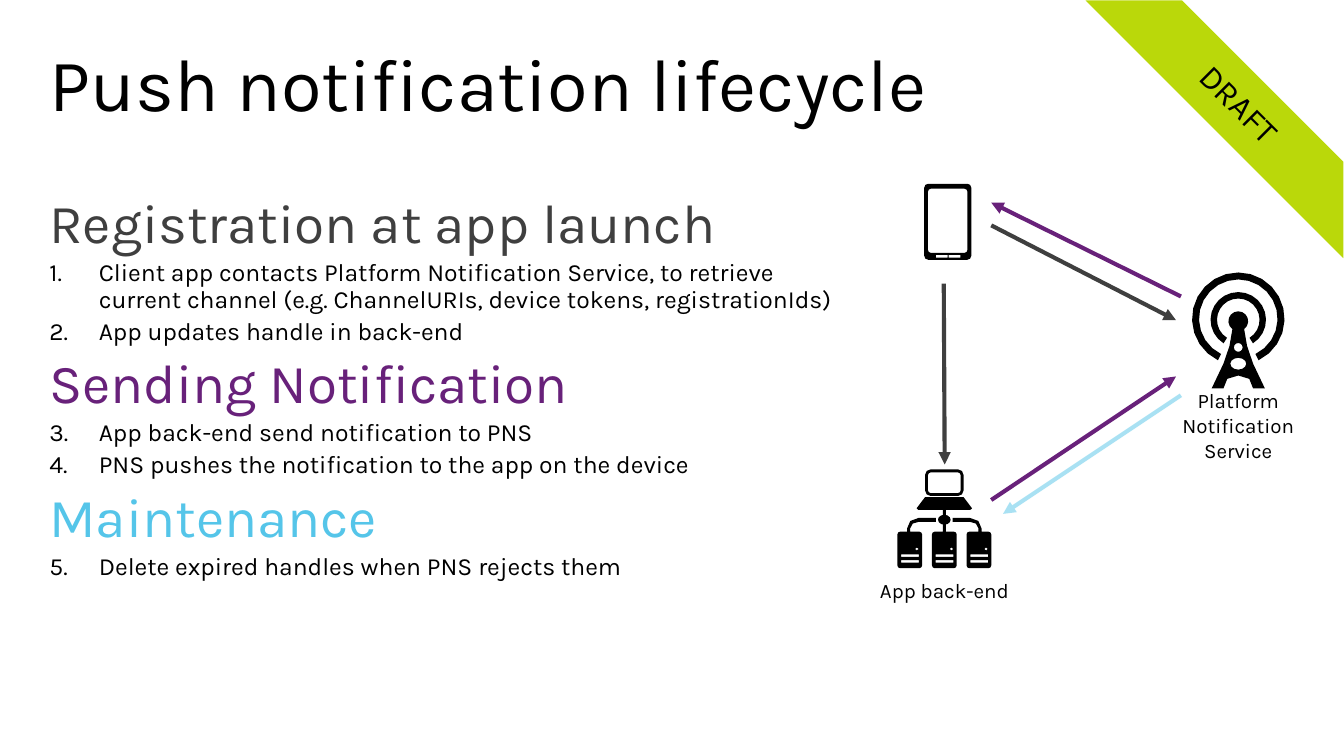
import math
from dataclasses import dataclass

from lxml import etree
from pptx import Presentation
from pptx import util as u
from pptx.dml import color
from pptx.enum import shapes, text
from pptx.oxml import ns

Pt = u.Pt


@dataclass(frozen=True)
class Theme:
    font: str = "Karla"
    black: str = "000000"
    lime: str = "BAD80A"
    grey: str = "3F3F3F"
    purple: str = "68217A"
    sky: str = "55C5E9"
    title: float = 54
    heading: float = 40
    ribbon: float = 24
    step: float = 18
    caption: float = 15


THEME = Theme()

SECTIONS = [
    ("Registration at app launch", THEME.grey, [
        "Client app contacts Platform Notification Service, to retrieve "
        "current channel (e.g. ChannelURIs, device tokens, registrationIds)",
        "App updates handle in back-end"]),
    ("Sending Notification", THEME.purple, [
        "App back-end send notification to PNS",
        "PNS pushes the notification to the app on the device"]),
    ("Maintenance", THEME.sky, ["Delete expired handles when PNS rejects them"]),
]

# Start, end, colour, opacity in percent
ARROWS = [
    ((722.2, 164.2), (856.8, 233.3), THEME.grey, 100),
    ((687.6, 206.6), (688.3, 338.4), THEME.grey, 100),
    ((722.2, 364.3), (856.8, 274.3), THEME.purple, 100),
    ((860.4, 216), (722.2, 147.6), THEME.purple, 100),
    ((860.4, 288), (730.8, 374.4), THEME.sky, 50),
]


def rgb(value):
    return color.RGBColor.from_string(value)


# Text
def format_para(para, size, ink=THEME.black, spacing=0.9, before=0):
    para.line_spacing = spacing
    para.space_before = Pt(before)
    para.space_after = Pt(0)
    for span in para.runs:
        span.font.name = THEME.font
        span.font.size = Pt(size)
        span.font.color.rgb = rgb(ink)


def set_frame(frame, side=14.4, edge=11.5, anchor=text.MSO_ANCHOR.TOP):
    frame.word_wrap = True
    frame.auto_size = text.MSO_AUTO_SIZE.NONE
    frame.vertical_anchor = anchor
    frame.margin_left = frame.margin_right = Pt(side)
    frame.margin_top = frame.margin_bottom = Pt(edge)


def add_box(page, left, top, width, height, **frame_options):
    box = page.shapes.add_textbox(Pt(left), Pt(top), Pt(width), Pt(height))
    set_frame(box.text_frame, **frame_options)
    return box


def add_caption(page, words, left, top, width, height):
    box = add_box(page, left, top, width, height, side=0, edge=0)
    box.text_frame.text = words
    for para in box.text_frame.paragraphs:
        para.alignment = text.PP_ALIGN.CENTER
        format_para(para, THEME.caption, spacing=1.0)


def number_para(para, start):
    para.level = 1
    props = para._p.get_or_add_pPr()
    props.set("marL", str(Pt(36)))
    props.set("indent", str(-Pt(36)))
    etree.SubElement(props, ns.qn("a:buAutoNum"), type="arabicPeriod", startAt=str(start))


def add_steps(page):
    frame = add_box(page, 21.6, 131.4, 614.9, 319.7).text_frame
    para, start = frame.paragraphs[0], 1
    for heading, ink, steps in SECTIONS:
        if start > 1:
            para = frame.add_paragraph()
        para.text = heading
        format_para(para, THEME.heading, ink, before=8 if start > 1 else 0)
        for step in steps:
            para = frame.add_paragraph()
            para.text = step
            format_para(para, THEME.step, before=3.6)
            number_para(para, start)
        start += len(steps)


# Outlines, as lists of points
def arc(x, y, across, down, start, end, pieces):
    angles = [math.radians(start + (end - start) * i / pieces) for i in range(pieces + 1)]
    return [(x + across * math.cos(a), y + down * math.sin(a)) for a in angles]


def oval(x, y, across, down, pieces=12):
    return arc(x, y, across, down, 0, 360, pieces)[:-1]


def rounded(left, top, width, height, radius):
    right, bottom = left + width - radius, top + height - radius
    left, top = left + radius, top + radius
    corners = [(right, bottom), (left, bottom), (left, top), (right, top)]
    return [point for i, (x, y) in enumerate(corners)
            for point in arc(x, y, radius, radius, 90 * i, 90 * i + 90, 2)]


def block(left, top, width, height):
    right, bottom = left + width, top + height
    return [(left, top), (right, top), (right, bottom), (left, bottom)]


def add_outline(page, contours, fill=THEME.black):
    builder = None
    for contour in contours:
        points = [(Pt(x), Pt(y)) for x, y in contour]
        if builder is None:
            builder = page.shapes.build_freeform(*points[0], scale=1.0)
        else:
            builder.move_to(*points[0])
        builder.add_line_segments(points[1:], close=True)
    outline = builder.convert_to_shape()
    outline.shadow.inherit = False
    outline.fill.solid()
    outline.fill.fore_color.rgb = rgb(fill)
    outline.line.fill.background()
    return outline


def add_arrow(page, start, end, ink, opacity):
    arrow = page.shapes.add_connector(
        shapes.MSO_CONNECTOR.STRAIGHT, *(Pt(value) for value in start + end))
    arrow.line.color.rgb = rgb(ink)
    arrow.line.width = Pt(3)
    line = arrow.line._get_or_add_ln()
    if opacity < 100:
        tint = line.find(".//" + ns.qn("a:srgbClr"))
        etree.SubElement(tint, ns.qn("a:alpha"), val=str(opacity * 1000))
    etree.SubElement(line, ns.qn("a:tailEnd"), type="triangle")
    etree.SubElement(arrow._element.spPr, ns.qn("a:effectLst"))


def add_ribbon(page):
    band = [(769.6, 101.5), (819.3, 51.8), (985.6, 51.8), (1035.3, 101.5)]
    ribbon = add_outline(page, [band], THEME.lime)
    ribbon.rotation = 45
    set_frame(ribbon.text_frame, anchor=text.MSO_ANCHOR.MIDDLE)
    ribbon.text_frame.text = "DRAFT"
    para = ribbon.text_frame.paragraphs[0]
    para.alignment = text.PP_ALIGN.CENTER
    format_para(para, THEME.ribbon)


# Icons
def add_phone(page):
    buttons = [block(left, 185.8, 8.6, 2) for left in (681.8, 691.2)]
    add_outline(page, [rounded(673.4, 133.9, 34.3, 55.4, 2.9),
                       rounded(676.1, 137.5, 28.8, 46.8, 2.2)] + buttons)


def add_tower(page):
    middle = 902.2
    # Mast, mirrored about its middle, with the antenna tip on top
    half = [(4.3, 239.8), (6.4, 252), (10.8, 265), (19.4, 283), (10.8, 283), (8, 276), (0, 273.6)]
    right = [(middle + x, y) for x, y in half]
    left = [(middle - x, y) for x, y in reversed(half[:-1])]
    contours = [right + left + arc(middle, 234, 7.2, 7.2, 126.6, 413.4, 12)[1:-1]]
    # Radio waves: centre height, outer and inner radius, opening half-angle
    for centre, outer, inner, gap in ((232.2, 33.7, 28.6, 26), (233, 20.2, 15.5, 32)):
        contours.append(arc(middle, centre, outer, outer, 90 + gap, 450 - gap, 20)
                        + arc(middle, centre, inner, inner, 450 - gap, 90 + gap, 20))
    # Holes in the mast
    contours += [oval(middle, 253.1, 3.2, 3.2), oval(middle, 265, 5.8, 4.3)]
    add_outline(page, contours)


def add_servers(page):
    middle = 688
    # Laptop
    contours = [rounded(middle - 14, 342, 28, 19.4, 4), rounded(middle - 11.9, 344.2, 23.8, 15.1, 2),
                [(middle - 14, 362.2), (middle + 14, 362.2), (middle + 20.2, 370.4),
                 (middle + 19, 371.5), (middle - 19, 371.5), (middle - 20.2, 370.4)]]
    # Network
    contours += [block(middle - 1.1, 371.5, 2.2, 3.7), oval(middle, 378.7, 4.6, 3.6),
                 block(middle - 1.1, 382.2, 2.2, 5.2)]
    pipe = [(27.1, 387.4), (27.1, 385), (24.8, 379.6), (18.5, 377.3), (6.1, 377.3),
            (6.1, 380.2), (18.5, 380.2), (23, 381.5), (24.9, 385), (24.9, 387.4)]
    contours += [[(middle + side * x, y) for x, y in pipe] for side in (-1, 1)]
    # Three servers with their lights and slots
    for index in range(3):
        left = 653.8 + 25.2 * index
        contours += [rounded(left, 387.4, 18, 26.6, 2), oval(left + 14.2, 400, 1.3, 1.1, 4)]
        contours += [block(left + 2.7, top, 13, 1.7) for top in (404, 408.2)]
    add_outline(page, contours)


def main():
    deck = Presentation()
    deck.slide_width, deck.slide_height = Pt(979.2), Pt(550.8)
    page = deck.slides.add_slide(deck.slide_layouts[5])

    # Title and numbered steps
    add_ribbon(page)
    title = page.shapes.title
    title.left, title.top, title.width, title.height = Pt(21.6), Pt(23), Pt(936), Pt(72)
    set_frame(title.text_frame)
    title.text_frame.text = "Push notification lifecycle"
    title.text_frame.paragraphs[0].alignment = text.PP_ALIGN.LEFT
    format_para(title.text_frame.paragraphs[0], THEME.title)
    add_steps(page)

    # Diagram
    add_caption(page, "Platform\nNotification\nService", 856.8, 283, 90.7, 55.4)
    add_tower(page)
    for arrow in ARROWS:
        add_arrow(page, *arrow)
    add_servers(page)
    add_caption(page, "App back-end", 639.5, 420.8, 97.2, 18.7)
    add_phone(page)
    deck.save("out.pptx")


if __name__ == "__main__":
    main()
